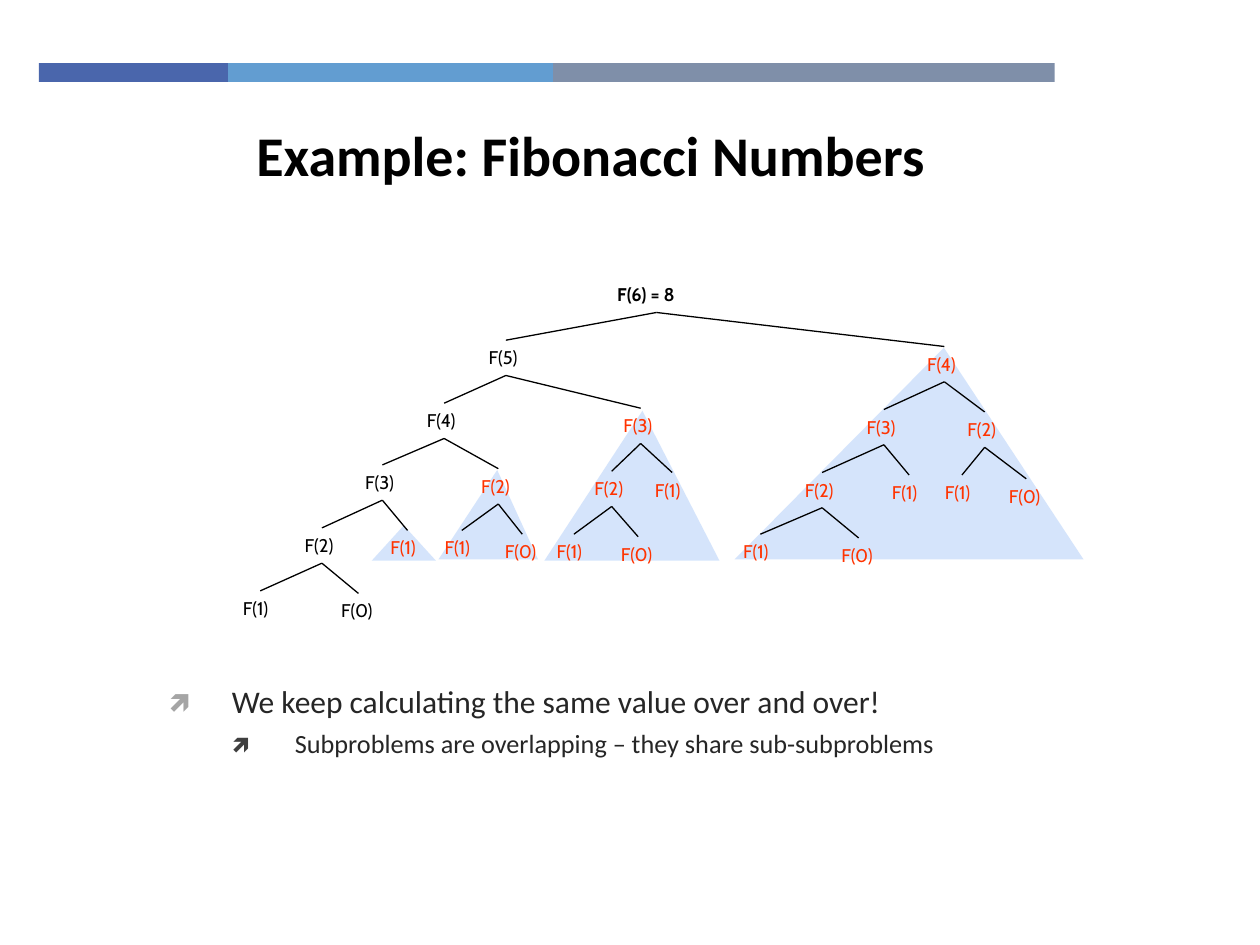
from lxml import etree
from pptx import Presentation
from pptx import util as u
from pptx.dml.color import RGBColor
from pptx.enum import shapes, text
from pptx.oxml.ns import qn

PX = 9144  # EMU in one px, 100 px to the inch

BLACK = RGBColor(0x00, 0x00, 0x00)
RED = RGBColor(0xFF, 0x33, 0x00)
BODY = RGBColor(0x26, 0x26, 0x26)
SHADE = RGBColor(0xAC, 0xCB, 0xF9)
BAR_COLORS = [RGBColor(0x4A, 0x66, 0xAC), RGBColor(0x62, 0x9D, 0xD1),
              RGBColor(0x7F, 0x8F, 0xA9)]

# Content
BAR_LEFT, BAR_TOP, BAR_HEIGHT = 31, 50, 15
BAR_WIDTHS = [150, 258, 398]
TITLE = "Example: Fibonacci Numbers"
# text, size, indent in px, space before in pt, bullet colour
POINTS = [
    ("We keep calculating the same value over and over!", 18, 50, 0, "A5A5A5"),
    ("Subproblems are overlapping – they share sub-subproblems", 15, 100, 6, "3F3F3F"),
]
# Shaded triangles: left, top, width, height, place of the tip
TRIANGLES = [
    (583, 276, 277, 168, 0.6),
    (432, 326, 139, 119, 0.56),
    (348, 373, 79, 71, 0.59),
    (295, 417, 51, 28, 0.5),
]
# Call tree: label, left, top, calls
FIRST_CALLS = ("F(5)", 378, 270, [
    ("F(4)", 329, 320, [
        ("F(3)", 280, 369, [
            ("F(2)", 232, 419, [("F(1)", 183, 469, []), ("F(0)", 261, 471, [])]),
            ("F(1)", 300, 421, []),
        ]),
        ("F(2)", 372, 372, [("F(1)", 343, 421, []), ("F(0)", 391, 424, [])]),
    ]),
    ("F(3)", 485, 324, [
        ("F(2)", 462, 374, [("F(1)", 432, 424, []), ("F(0)", 483, 426, [])]),
        ("F(1)", 510, 375, []),
    ]),
])
LATER_CALLS = ("F(4)", 726, 275, [
    ("F(3)", 678, 325, [
        ("F(2)", 629, 375, [("F(1)", 580, 424, []), ("F(0)", 658, 427, [])]),
        ("F(1)", 698, 377, []),
    ]),
    ("F(2)", 758, 327, [("F(1)", 740, 377, []), ("F(0)", 791, 380, [])]),
])
CALL_TREE = ("F(6) = 8", 480, 220, [FIRST_CALLS, LATER_CALLS])
ROOT_WIDTH, NODE_WIDTH, NODE_HEIGHT = 82, 47, 28

prs = Presentation()
prs.slide_width, prs.slide_height = 1000 * PX, 750 * PX
slide = prs.slides.add_slide(prs.slide_layouts[1])


def place(shape, *box):
    shape.left, shape.top, shape.width, shape.height = (n * PX for n in box)


def write(paragraph, words, size, color, font="Calibri", bold=False,
          align=text.PP_ALIGN.LEFT):
    run = paragraph.add_run()
    run.text = words
    run.font.size, run.font.name, run.font.bold = u.Pt(size), font, bold
    run.font.color.rgb = color
    paragraph.alignment = align


def add_block(kind, box, color):
    block = slide.shapes.add_shape(kind, *(n * PX for n in box))
    block.shadow.inherit = False
    block.fill.solid()
    block.fill.fore_color.rgb = color
    block.line.fill.background()
    return block


def add_bullet(paragraph, indent, color):
    props = paragraph._p.get_or_add_pPr()
    props.set("marL", str(indent * PX))
    props.set("indent", str(-50 * PX))
    tint = etree.SubElement(props, qn("a:buClr"))
    etree.SubElement(tint, qn("a:srgbClr"), val=color)
    etree.SubElement(props, qn("a:buSzPct"), val="80000")
    etree.SubElement(props, qn("a:buChar"), char="🡽")


def add_link(parent, child):
    link = slide.shapes.add_connector(shapes.MSO_CONNECTOR.STRAIGHT, 0, 0, 0, 0)
    link.begin_connect(parent, 2)
    link.end_connect(child, 0)
    link.line.color.rgb = BLACK
    link.line.width = u.Pt(0.75)
    etree.SubElement(link._element.spPr, qn("a:effectLst"))


def add_calls(node, parent=None, seen=False):
    """Draw a call and those below it; only the first call of each line is new."""
    label, left, top, calls = node
    width = NODE_WIDTH if parent else ROOT_WIDTH
    box = slide.shapes.add_textbox(left * PX, top * PX, width * PX, NODE_HEIGHT * PX)
    box.text_frame.word_wrap = True
    box.text_frame.auto_size = text.MSO_AUTO_SIZE.SHAPE_TO_FIT_TEXT
    write(box.text_frame.paragraphs[0], label, 10.5, RED if seen else BLACK,
          font="Cabin", bold=parent is None)
    if parent:
        add_link(parent, box)
    for i, call in enumerate(calls):
        # the base case F(0) of the first line is new as well
        add_calls(call, box, seen or (i > 0 and call[0] != "F(0)"))


# Colour bar
left = BAR_LEFT
for width, color in zip(BAR_WIDTHS, BAR_COLORS):
    add_block(shapes.MSO_SHAPE.RECTANGLE, (left, BAR_TOP, width, BAR_HEIGHT), color)
    left += width

# Title
title = slide.shapes.title
place(title, 0, 69, 938, 106)
title.text_frame.vertical_anchor = text.MSO_ANCHOR.MIDDLE
title.text_frame.auto_size = text.MSO_AUTO_SIZE.NONE
write(title.text_frame.paragraphs[0], TITLE, 32, BLACK, bold=True,
      align=text.PP_ALIGN.CENTER)

# Bulleted points
points = slide.placeholders[1]
place(points, 124, 540, 723, 81)
points.text_frame.auto_size = text.MSO_AUTO_SIZE.NONE
for level, (words, size, indent, before, color) in enumerate(POINTS):
    frame = points.text_frame
    point = frame.add_paragraph() if level else frame.paragraphs[0]
    point.level = level
    point.line_spacing = 0.9
    point.space_before = u.Pt(before)
    write(point, words, size, BODY)
    add_bullet(point, indent, color)

# Shading behind the repeated calls
for *box, tip in TRIANGLES:
    triangle = add_block(shapes.MSO_SHAPE.ISOSCELES_TRIANGLE, box, SHADE)
    triangle.adjustments[0] = tip
    shade = triangle.fill._xPr.find(qn("a:solidFill"))[0]
    etree.SubElement(shade, qn("a:alpha"), val="50000")

# Call tree
add_calls(CALL_TREE)

prs.save("out.pptx")
